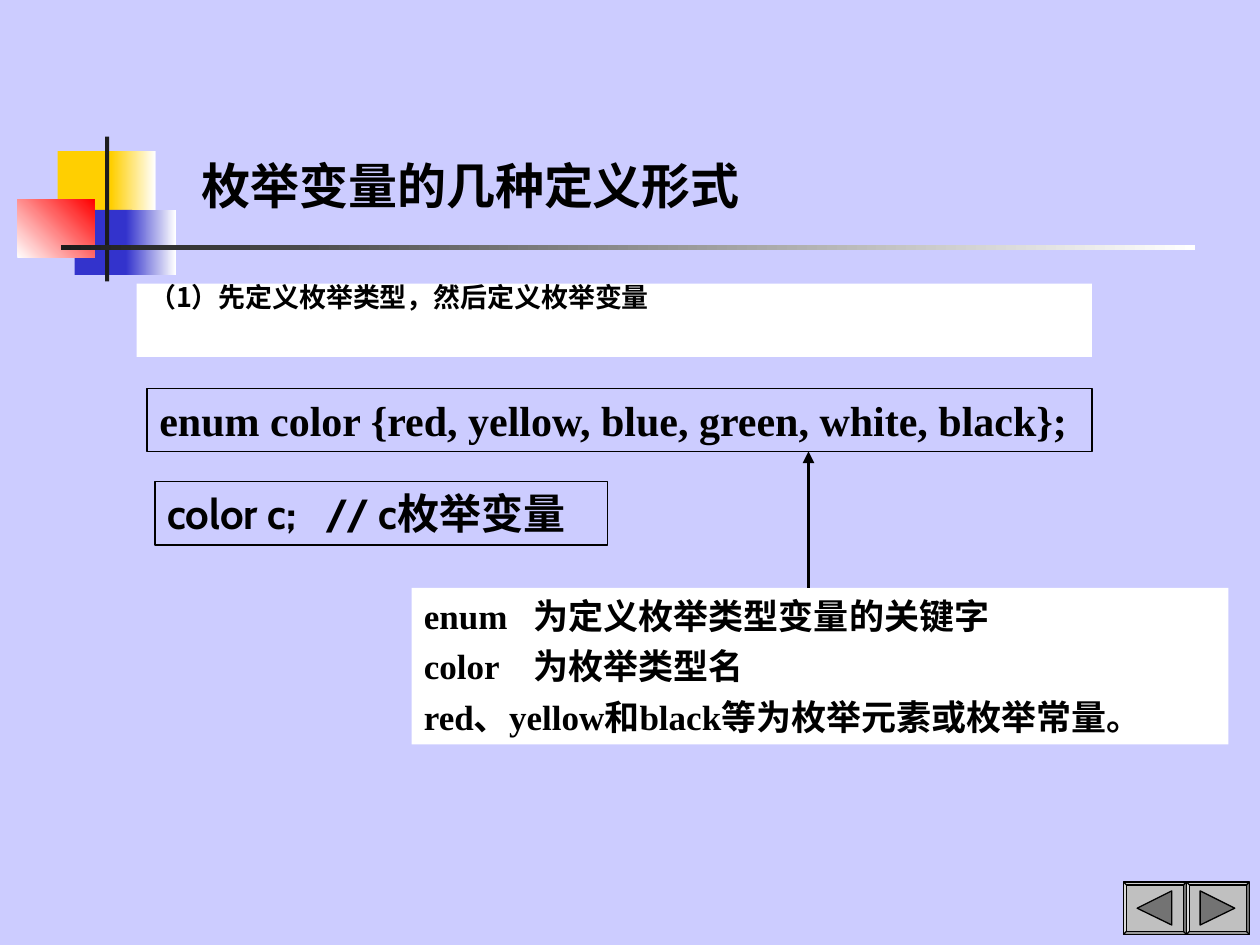
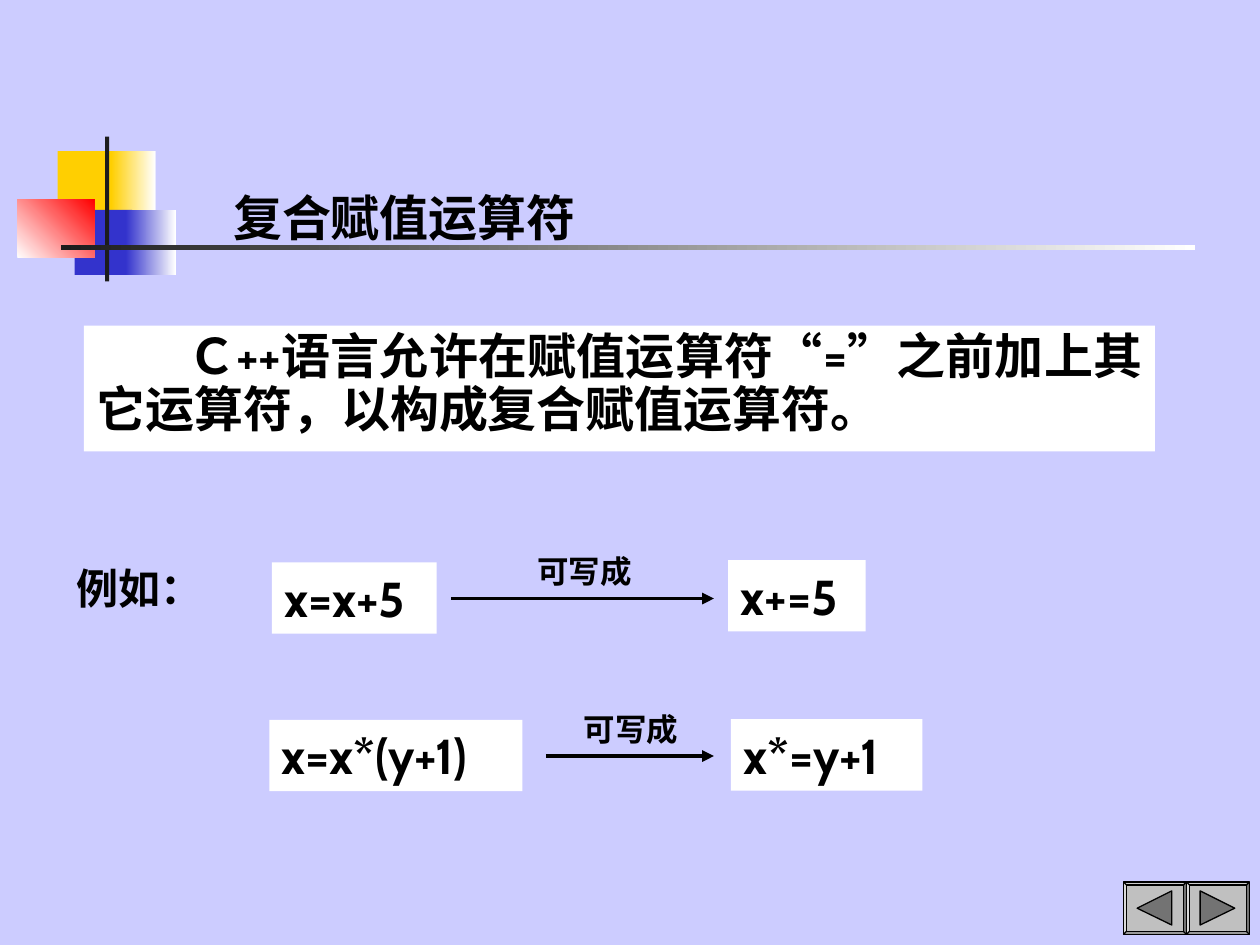
from lxml.etree import SubElement
from pptx import Presentation
from pptx.dml.color import RGBColor
from pptx.enum.shapes import MSO_CONNECTOR, MSO_SHAPE
from pptx.enum.text import MSO_ANCHOR, MSO_AUTO_SIZE, PP_ALIGN
from pptx.oxml.ns import qn
from pptx.util import Inches, Pt

LAVENDER = RGBColor(0xCC, 0xCC, 0xFF)
YELLOW = RGBColor(0xFF, 0xCF, 0x01)
BLUE = RGBColor(0x33, 0x33, 0xCC)
RED = RGBColor(0xFF, 0x00, 0x00)
WHITE = RGBColor(0xFF, 0xFF, 0xFF)
BLACK = RGBColor(0x00, 0x00, 0x00)
CHARCOAL = RGBColor(0x1C, 0x1C, 0x1C)
SILVER = RGBColor(0xC0, 0xC0, 0xC0)
GREY = RGBColor(0x73, 0x73, 0x73)

CABIN = "Cabin"
NOTO = "Noto Sans CJK SC"
TIMES = "Times New Roman"


def grid(*units):
    """Turn columns or rows of a twelfth of an inch into lengths."""
    return [Inches(unit / 12) for unit in units]


def write(frame, lines, size=28, font=CABIN, gap=0, spacing=None, indent=None,
          align=PP_ALIGN.LEFT, anchor=MSO_ANCHOR.TOP, tab=None, wrap=True):
    """Fill a text frame; a line is a string or a list of (text, font) runs."""
    frame.word_wrap = wrap
    frame.auto_size = MSO_AUTO_SIZE.NONE
    frame.vertical_anchor = anchor
    for number, line in enumerate(lines):
        paragraph = frame.add_paragraph() if number else frame.paragraphs[0]
        properties = paragraph._p.get_or_add_pPr()
        if indent is not None:
            properties.set("marL", "0")
            properties.set("indent", str(Inches(indent)))
            SubElement(properties, qn("a:buNone"))
        if tab:
            stops = SubElement(properties, qn("a:tabLst"))
            SubElement(stops, qn("a:tab"), pos=str(Inches(tab)), algn="l")
        paragraph.alignment = align
        paragraph.space_before = Pt(gap if number else 0)
        if spacing:
            paragraph.line_spacing = spacing
        for text, face in [(line, font)] if isinstance(line, str) else line:
            run = paragraph.add_run()
            run.text = text
            run.font.size = Pt(size)
            run.font.bold = True
            run.font.color.rgb = BLACK
            run.font.name = face
            SubElement(run._r.get_or_add_rPr(), qn("a:ea"), typeface=NOTO)


class Lecture:
    """Holds the presentation style and the slide being built."""

    def __init__(self):
        """Open the presentation and colour the shared layout."""
        self.deck = Presentation()
        self.deck.slide_width, self.deck.slide_height = grid(120, 90)
        self.layout = self.deck.slide_layouts[1]
        background = self.layout.background.fill
        background.solid()
        background.fore_color.rgb = LAVENDER
        self.slide = None

    def start(self, title, place):
        """Add a slide with its title and navigation buttons."""
        first = self.slide is None
        self.slide = self.deck.slides.add_slide(self.layout)
        if first:
            self.decorate()
        self.fill_placeholder(0, [title], place, anchor=MSO_ANCHOR.BOTTOM)
        self.button(113, base=1.3, tip=4.6)
        self.button(107, base=4.6, tip=1.3)

    def decorate(self):
        """Draw the coloured squares and rules and move them to the layout."""
        squares_and_rules = [
            self.block((5.5, 14.4, 5.8, 6.2), YELLOW),
            self.block((10.6, 14.4, 4.2, 6.2), YELLOW, fade=WHITE),
            self.block((7.1, 20, 5.5, 6.2), BLUE),
            self.block((12, 20, 4.75, 6.2), BLUE, fade=WHITE),
            self.block((1.65, 19, 7.35, 5.55), WHITE, fade=RED, angle=45),
            self.block((10, 13, 0.4, 13.8), CHARCOAL),
            self.block((5.8, 23.35, 108, 0.45), CHARCOAL, fade=WHITE),
        ]
        for part in squares_and_rules:
            self.layout.shapes.element.append(part.element)

    def block(self, place, fill=None, line=None, fade=None, angle=0, kind=MSO_SHAPE.RECTANGLE):
        """Draw a preset shape, plain, outlined or fading to a second colour."""
        shape = self.slide.shapes.add_shape(kind, *grid(*place))
        self.paint(shape, fill, line)
        if fade is not None:
            shape.fill.gradient()
            shape.fill.gradient_angle = angle
            for stop, color in zip(shape.fill.gradient_stops, (fill, fade)):
                stop.color.rgb = color
        return shape

    def paint(self, shape, fill, line):
        """Set fill and outline and drop the shadow."""
        shape.shadow.inherit = False
        if fill is None:
            shape.fill.background()
        else:
            shape.fill.solid()
            shape.fill.fore_color.rgb = fill
        if line is None:
            shape.line.fill.background()
        else:
            shape.line.color.rgb = line
            shape.line.width = Pt(0.75)

    def button(self, left, base, tip):
        """Draw a bevelled button with a triangle pointing to its tip."""
        top = 84
        bevel = self.block((left, top, 6, 5), SILVER, BLACK, kind=MSO_SHAPE.BEVEL)
        bevel.adjustments[0] = 0.06
        corners = [grid(left + x, top + y) for x, y in ((base, 0.85), (tip, 2.5), (base, 4.1))]
        outline = self.slide.shapes.build_freeform(*corners[0])
        outline.add_line_segments(corners[1:], close=True)
        self.paint(outline.convert_to_shape(), GREY, BLACK)

    def fill_placeholder(self, index, lines, place, fill=None, indent=0, **style):
        """Move, colour and fill a title or body placeholder."""
        holder = self.slide.placeholders[index]
        holder.left, holder.top, holder.width, holder.height = grid(*place)
        if fill is not None:
            holder.fill.solid()
            holder.fill.fore_color.rgb = fill
        write(holder.text_frame, lines, indent=indent, **style)

    def box(self, lines, place, fill=None, line=None, **style):
        """Draw a rectangle that carries text."""
        write(self.block(place, fill, line).text_frame, lines, **style)

    def label(self, text, place, **style):
        """Add bare text."""
        write(self.slide.shapes.add_textbox(*grid(*place)).text_frame, [text], font=TIMES, **style)

    def arrow(self, start, end):
        """Draw a straight line with a triangle head at its end."""
        arrow = self.slide.shapes.add_connector(MSO_CONNECTOR.STRAIGHT, *grid(*start, *end))
        arrow.line.color.rgb = BLACK
        arrow.line.width = Pt(2.25)
        SubElement(arrow.line._get_or_add_ln(), qn("a:tailEnd"), type="triangle")
        SubElement(arrow.element.spPr, qn("a:effectLst"))


def enum_slide(lecture):
    """Show how an enumeration type and variable are defined."""
    lecture.start("枚举变量的几种定义形式", (18, 15, 56, 6))
    lecture.fill_placeholder(1, ["（1）先定义枚举类型，然后定义枚举变量"], (13, 27, 91, 7),
                             fill=WHITE, size=15.4, font=NOTO, spacing=0.7)
    lecture.box(["enum color {red, yellow, blue, green, white, black};"],
                (14, 37, 90, 6), line=BLACK, size=24, font=TIMES)
    keyword_notes = [
        [("enum\t", TIMES), ("为定义枚举类型变量的关键字", NOTO)],
        [("color\t", TIMES), ("为枚举类型名", NOTO)],
        [("red", TIMES), ("、", NOTO), ("yellow", TIMES), ("和", NOTO),
         ("black", TIMES), ("等为枚举元素或枚举常量。", NOTO)],
    ]
    lecture.box(keyword_notes, (39.2, 56, 77.8, 14.9), fill=WHITE, size=20, gap=5, tab=0.87)
    lecture.box([[("color c;   // c", CABIN), ("枚举变量", NOTO)]],
                (14.75, 45.85, 43.1, 6.05), line=BLACK, size=24)
    lecture.arrow((77, 56), (77, 43))


def assignment_slide(lecture):
    """Show how compound assignment shortens an expression."""
    lecture.start("复合赋值运算符", (21, 17, 44, 7.1))
    rule = [("Ｃ", TIMES), ("++", CABIN), ("语言允许在赋值运算符“", TIMES), ("=", CABIN),
            ("”之前加上其它运算符，以构成复合赋值运算符。", TIMES)]
    lecture.fill_placeholder(1, [rule], (8, 31, 102, 12), fill=WHITE, spacing=0.9,
                             indent=0.72, align=PP_ALIGN.JUSTIFY)
    lecture.label("例如：", (6.1, 53, 14.9, 6), size=24)
    rewrites = [
        ("x=x+5", (25.9, 53.55, 15.7), "x+=5", (69.35, 53.35, 13.1), 50, 43, 57),
        ("x=x*(y+1)", (25.65, 68.55, 24.1), "x*=y+1", (69.6, 68.5, 18.25), 54.4, 52, 72),
    ]
    for full, full_place, short, short_place, label_left, arrow_left, arrow_row in rewrites:
        lecture.box([full], (*full_place, 6.8), fill=WHITE)
        lecture.box([short], (*short_place, 6.8), fill=WHITE)
        lecture.label("可写成", (label_left, arrow_row - 5, 11.4, 4.8), size=18, wrap=False)
        lecture.arrow((arrow_left, arrow_row), (68, arrow_row))


def main():
    """Build both slides and save them."""
    lecture = Lecture()
    enum_slide(lecture)
    assignment_slide(lecture)
    lecture.deck.save("out.pptx")


if __name__ == "__main__":
    main()
